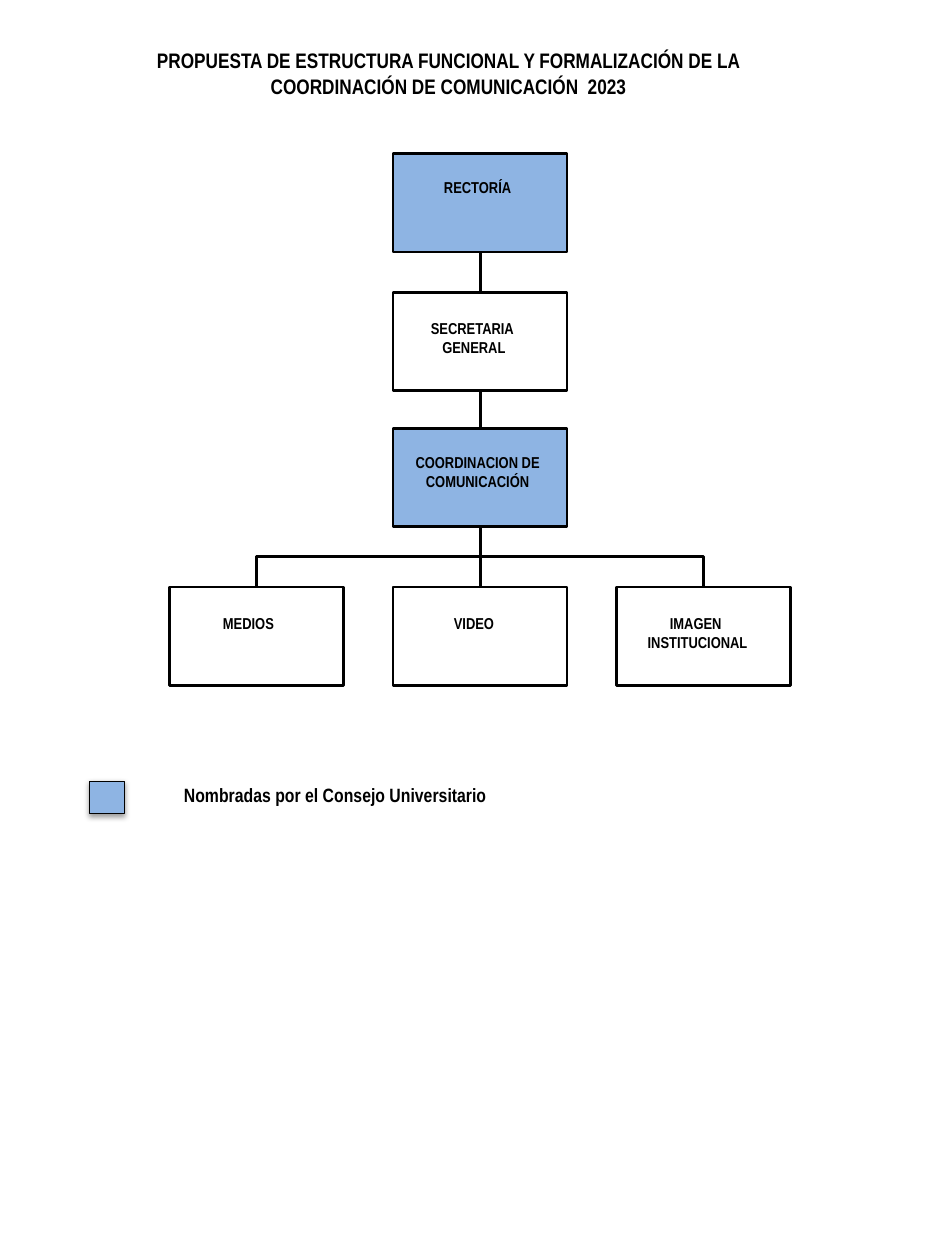
from lxml import etree
from pptx import Presentation
from pptx.dml.color import RGBColor
from pptx.enum import shapes, text
from pptx.oxml import parse_xml
from pptx.oxml.ns import nsdecls, qn
from pptx.util import Inches, Pt

THEME = {
    "font": "Arial Narrow", "ink": "000000", "fill": "8EB4E3",
    "title": 12, "note": 11, "box": 9,
    "edge": 1.5, "thin": 0.75, "link": 1.75,
}
TITLE = ("PROPUESTA DE ESTRUCTURA FUNCIONAL Y FORMALIZACIÓN DE LA "
         "COORDINACIÓN DE COMUNICACIÓN  2023")
NOTE = "Nombradas por el Consejo Universitario"
RECT = shapes.MSO_SHAPE.RECTANGLE
FLOW = shapes.MSO_SHAPE.FLOWCHART_PROCESS

# text, top, preset, named by the council
CHAIN = [
    ("RECTORÍA", 1.22, FLOW, True),
    ("SECRETARIA \nGENERAL", 2.32, FLOW, False),
    ("COORDINACION DE COMUNICACIÓN", 3.4, RECT, True),
]
AREAS = ["MEDIOS ", "VIDEO", "IMAGEN \nINSTITUCIONAL"]

WIDE, HIGH = 1.38, 0.78
MID = 3.81      # centre line of the chart
STEP = 1.775    # distance between area centres
ROW = 4.66      # top of the areas
OPEN_PAD, FILL_PAD = (0, 0.21, 0.1, 0.05), (0.04, 0.19, 0.08, 0.04)


def color(name):
    return RGBColor.from_string(THEME[name])


def write(shape, words, size, pad, align=text.PP_ALIGN.CENTER):
    frame = shape.text_frame
    frame.word_wrap = True
    frame.auto_size = text.MSO_AUTO_SIZE.NONE
    frame.vertical_anchor = text.MSO_ANCHOR.TOP
    (frame.margin_left, frame.margin_top,
     frame.margin_right, frame.margin_bottom) = map(Inches, pad)
    frame.text = words
    for para in frame.paragraphs:
        para.alignment = align
        para.line_spacing = 1.0
        para.space_before = Pt(0)
        font = para.runs[0].font
        font.name, font.size, font.bold = THEME["font"], Pt(THEME[size]), True
        font.color.rgb = color("ink")


def block(slide, spot, kind=RECT, filled=False, edge="edge"):
    shape = slide.shapes.add_shape(kind, *map(Inches, spot))
    shape.shadow.inherit = False
    if filled:
        shape.fill.solid()
        shape.fill.fore_color.rgb = color("fill")
    else:
        shape.fill.background()
    shape.line.color.rgb = color("ink")
    shape.line.width = Pt(THEME[edge])
    return shape


def unit(slide, words, mid, top, kind=RECT, filled=False):
    shape = block(slide, (mid - WIDE / 2, top, WIDE, HIGH), kind, filled)
    write(shape, words, "box", FILL_PAD if filled else OPEN_PAD)


def link(slide, kind, *ends):
    line = slide.shapes.add_connector(kind, *map(Inches, ends))
    line.line.color.rgb = color("ink")
    line.line.width = Pt(THEME["link"])
    etree.SubElement(line._element.spPr, qn("a:effectLst"))
    return line


def branch(slide, x1, y1, x2, y2):
    """Elbow that leaves downwards: a sideways elbow turned a quarter."""
    cx, cy = (x1 + x2) / 2, (y1 + y2) / 2
    half, side = (y2 - y1) / 2, abs(x2 - x1) / 2
    turn = 90
    if x2 > x1:
        half, turn = -half, 270
    line = link(slide, shapes.MSO_CONNECTOR.ELBOW,
                cx - half, cy - side, cx + half, cy + side)
    line._element.spPr.find(qn("a:xfrm")).set("rot", str(turn * 60000))


def shade(shape):
    glow = shape._element.spPr.find(qn("a:effectLst"))
    glow.append(parse_xml(
        f'<a:outerShdw {nsdecls("a")} blurRad="{Pt(3.1)}" dist="{Pt(1.6)}" '
        f'dir="5400000" rotWithShape="0"><a:srgbClr val="{THEME["ink"]}">'
        '<a:alpha val="38000"/></a:srgbClr></a:outerShdw>'))


def main():
    deck = Presentation()
    deck.slide_width, deck.slide_height = Inches(7.5), Inches(10)
    slide = deck.slides.add_slide(deck.slide_layouts[5])

    title = slide.shapes.title
    title.left, title.top, title.width, title.height = map(
        Inches, (1.05, 0.33, 5.02, 0.5))
    write(title, TITLE, "title", (0.1, 0.05, 0.1, 0.05))

    for words, top, kind, filled in CHAIN:
        unit(slide, words, MID, top, kind, filled)
    for above, below in zip(CHAIN, CHAIN[1:]):
        link(slide, shapes.MSO_CONNECTOR.STRAIGHT,
             MID, above[1] + HIGH, MID, below[1])

    base = CHAIN[-1][1] + HIGH
    for i, words in enumerate(AREAS):
        mid = MID + (i - 1) * STEP
        unit(slide, words, mid, ROW)
        branch(slide, MID, base, mid, ROW)

    shade(block(slide, (0.71, 6.2, 0.28, 0.26), filled=True, edge="thin"))
    note = slide.shapes.add_textbox(*map(Inches, (1.46, 6.1, 2.84, 0.44)))
    write(note, NOTE, "note", (0, 0.12, 0.25, 0.12), text.PP_ALIGN.LEFT)

    deck.save("out.pptx")


if __name__ == "__main__":
    main()
